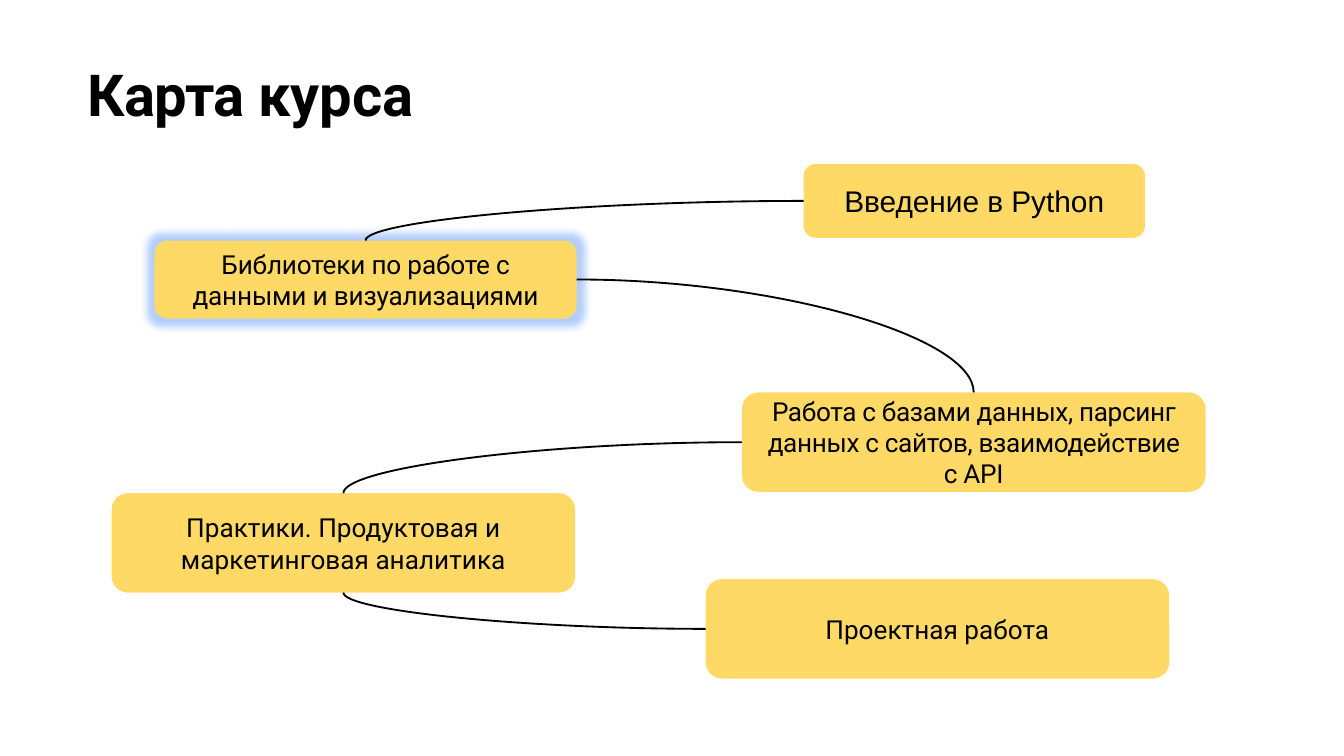
from dataclasses import dataclass

from lxml.etree import SubElement
from pptx import Presentation
from pptx.dml.color import RGBColor
from pptx.enum.shapes import MSO_CONNECTOR, MSO_SHAPE
from pptx.enum.text import MSO_ANCHOR, PP_ALIGN
from pptx.oxml.ns import qn
from pptx.util import Inches, Pt

COLORS = {"text": "000000", "topic": "FFD966", "line": "000000", "glow": "4285F4"}
TOP, LEFT, BOTTOM, RIGHT = range(4)


@dataclass(frozen=True)
class Topic:
    """A course topic and its place in inches."""
    text: str
    left: float
    top: float
    width: float = 3.45
    height: float = 0.74
    font: str = "Roboto"
    size: float = 14
    spacing: float = 0
    glow: bool = False


@dataclass(frozen=True)
class Link:
    """A curve leaving one topic sideways and reaching another vertically."""
    start: int
    start_side: int
    end: int
    end_side: int


TOPICS = [
    Topic("Введение в Python", 5.98, 1.22, 2.54, 0.55, font="Arial", size=16),
    Topic("Библиотеки по работе с данными и визуализациями",
          1.15, 1.79, 3.14, 0.58, spacing=-0.1, glow=True),
    Topic("Работа с базами данных, парсинг данных с сайтов, взаимодействие с API",
          5.52, 2.92, spacing=-0.2),
    Topic("Практики. Продуктовая и маркетинговая аналитика", 0.83, 3.67),
    Topic("Проектная работа", 5.25, 4.31),
]

LINKS = [
    Link(0, LEFT, 1, TOP),
    Link(1, RIGHT, 2, TOP),
    Link(2, LEFT, 3, TOP),
    Link(4, LEFT, 3, BOTTOM),
]


def color(name: str) -> RGBColor:
    """Look up a named colour."""
    return RGBColor.from_string(COLORS[name])


def add_text(para, text: str, *, size: float, font: str = "Roboto",
             bold: bool = False, spacing: float = 0) -> None:
    """Append a formatted span to a paragraph."""
    span = para.add_run()
    span.text = text
    span.font.size = Pt(size)
    span.font.name = font
    span.font.bold = bold
    span.font.color.rgb = color("text")
    if spacing:
        span.font._element.set("spc", str(round(spacing * 100)))


def add_title(page) -> None:
    """Draw the slide title."""
    box = page.shapes.add_textbox(Inches(0.63), Inches(0.42), Inches(6.81), Inches(0.54))
    frame = box.text_frame
    frame.word_wrap = True
    frame.margin_left = frame.margin_top = Inches(0.02)
    frame.margin_right = frame.margin_bottom = 0
    para = frame.paragraphs[0]
    add_text(para, "Карта ", size=31, bold=True, spacing=-0.3)
    add_text(para, "курса", size=31, bold=True, spacing=-0.1)


def add_glow(box) -> None:
    """Surround a box with a soft translucent glow."""
    effects = box._element.spPr.find(qn("a:effectLst"))
    glow = SubElement(effects, qn("a:glow"), rad=str(Pt(8)))
    tint = SubElement(glow, qn("a:srgbClr"), val=COLORS["glow"])
    SubElement(tint, qn("a:alpha"), val="40000")


def add_topic(page, topic: Topic):
    """Draw a topic as a rounded box and return it."""
    box = page.shapes.add_shape(
        MSO_SHAPE.ROUNDED_RECTANGLE, Inches(topic.left), Inches(topic.top),
        Inches(topic.width), Inches(topic.height))
    box.fill.solid()
    box.fill.fore_color.rgb = color("topic")
    box.line.fill.background()
    box.shadow.inherit = False
    if topic.glow:
        add_glow(box)
    frame = box.text_frame
    frame.word_wrap = True
    frame.vertical_anchor = MSO_ANCHOR.MIDDLE
    para = frame.paragraphs[0]
    para.alignment = PP_ALIGN.CENTER
    add_text(para, topic.text, size=topic.size, font=topic.font, spacing=topic.spacing)
    return box


def add_link(page, boxes: list, link: Link) -> None:
    """Join two topic boxes with a quarter curve."""
    curve = page.shapes.add_connector(MSO_CONNECTOR.CURVE, 0, 0, 0, 0)
    curve.begin_connect(boxes[link.start], link.start_side)
    curve.end_connect(boxes[link.end], link.end_side)
    curve.line.color.rgb = color("line")
    curve.line.width = Pt(1)
    properties = curve._element.spPr
    properties.find(qn("a:prstGeom")).set("prst", "curvedConnector2")
    SubElement(properties, qn("a:effectLst"))


def main() -> None:
    """Build the course map slide."""
    deck = Presentation()
    deck.slide_width, deck.slide_height = Inches(10), Inches(10 * 9 / 16)
    page = deck.slides.add_slide(deck.slide_layouts[6])
    add_title(page)
    boxes = [add_topic(page, topic) for topic in TOPICS]
    for link in LINKS:
        add_link(page, boxes, link)
    deck.save("out.pptx")


if __name__ == "__main__":
    main()
